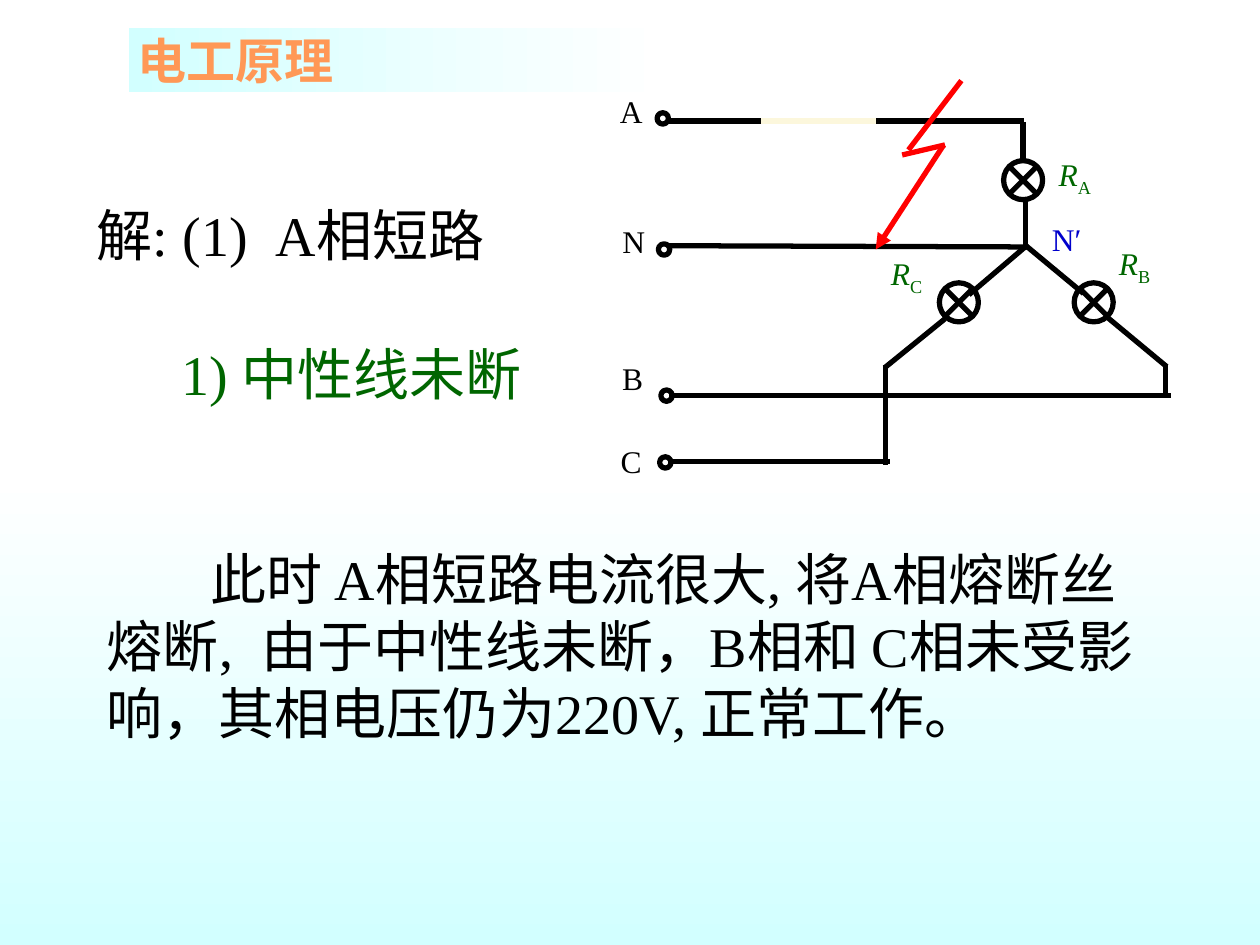
from pptx import Presentation, util as u
from pptx.dml.color import RGBColor
from pptx.enum import shapes, text
from pptx.oxml.ns import qn
from lxml import etree

COLORS = {"black": "000000", "green": "006600", "blue": "0000CC", "red": "FF0000",
          "orange": "FF9856", "cream": "FCF7DC", "cyan": "D2FFFF", "white": "FFFFFF"}
FONT = "Times New Roman"
LINE_WIDTH = 3
TOP, MIDDLE = text.MSO_ANCHOR.TOP, text.MSO_ANCHOR.MIDDLE
LEFT, CENTER = text.PP_ALIGN.LEFT, text.PP_ALIGN.CENTER

TITLE = "电工原理"
# text, box, colour, alignment, anchor, first-line indent
STATEMENTS = [
    ("解: (1)  A相短路", (0.67, 1.54, 4.42, 0.63), "black", LEFT, MIDDLE, 0),
    ("1) 中性线未断", (0.98, 2.65, 3.62, 0.63), "green", CENTER, MIDDLE, 0),
    ("此时 A相短路电流很大, 将A相熔断丝熔断,  由于中性线未断，B相和 C相未受影响，"
     "其相电压仍为220V, 正常工作。", (0.75, 4.27, 8.43, 1.7), "black", LEFT, TOP, 0.82),
]
# name, subscript, left, top, width, colour, anchor
LABELS = [
    ("A", "", 4.79, 0.68, 0.44, "black", TOP),
    ("N", "", 4.81, 1.71, 0.44, "black", TOP),
    ("B", "", 4.81, 2.8, 0.42, "black", TOP),
    ("C", "", 4.79, 3.41, 0.44, "black", MIDDLE),
    ("N′", "", 8.19, 1.65, 0.55, "blue", MIDDLE),
    ("R", "A", 8.24, 1.15, 0.58, "green", MIDDLE),
    ("R", "B", 8.72, 1.86, 0.57, "green", MIDDLE),
    ("R", "C", 6.88, 1.94, 0.63, "green", MIDDLE),
]
# centres
TERMINALS = [(5.26, 0.94), (5.27, 1.98), (5.29, 3.14), (5.28, 3.67)]
LAMPS = [(8.12, 1.43), (7.61, 2.4), (8.68, 2.4)]
# x1, y1, x2, y2
WIRES = [
    (5.3, 0.96, 8.13, 0.96), (8.12, 0.97, 8.12, 1.29), (8.14, 1.57, 8.14, 1.97),
    (5.31, 1.95, 8.16, 1.96),
    (8.13, 1.94, 8.6, 2.33), (8.79, 2.52, 9.26, 2.91),
    (9.25, 2.89, 9.25, 3.14), (9.29, 3.14, 5.31, 3.14),
    (8.16, 1.94, 7.69, 2.34), (7.5, 2.53, 7.02, 2.92),
    (7.03, 2.9, 7.03, 3.69), (5.31, 3.66, 7.06, 3.66),
]
FUSE = (6.04, 0.96, 6.95, 0.96)
BOLT = [(7.63, 0.64, 7.21, 1.19), (7.16, 1.23, 7.5, 1.15), (7.49, 1.15, 6.95, 1.98)]


def rgb(name):
    return RGBColor.from_string(COLORS[name])


def inches(values):
    return [u.Inches(v) for v in values]


def fade(fill, angle, stops):
    fill.gradient()
    fill.gradient_angle = angle
    for stop, (position, color) in zip(fill.gradient_stops, stops):
        stop.position = position
        stop.color.rgb = rgb(color)


def set_frame(sp, anchor, wrap):
    tf = sp.text_frame
    for name, value in {"word_wrap": wrap, "vertical_anchor": anchor,
                        "auto_size": text.MSO_AUTO_SIZE.NONE}.items():
        setattr(tf, name, value)
    return tf.paragraphs[0]


def add_run(p, content, size, color, **style):
    r = p.add_run()
    r.text = content
    for name, value in {"name": FONT, "size": u.Pt(size), **style}.items():
        setattr(r.font, name, value)
    r.font.color.rgb = rgb(color)
    return r


def add_line(parent, points, color="black", arrow=False):
    line = parent.add_connector(shapes.MSO_CONNECTOR.STRAIGHT, *inches(points))
    line.line.color.rgb = rgb(color)
    line.line.width = u.Pt(LINE_WIDTH)
    sp_pr = line._element.spPr
    if arrow:
        etree.SubElement(sp_pr.find(qn("a:ln")), qn("a:tailEnd"), type="triangle")
    etree.SubElement(sp_pr, qn("a:effectLst"))


def add_ring(parent, x, y, diameter):
    box = inches((x - diameter / 2, y - diameter / 2, diameter, diameter))
    ring = parent.add_shape(shapes.MSO_SHAPE.OVAL, *box)
    ring.shadow.inherit = False
    ring.fill.background()
    ring.line.color.rgb = rgb("black")
    ring.line.width = u.Pt(LINE_WIDTH)


def add_lamp(parent, x, y, arm=0.1):
    add_ring(parent, x, y, 0.31)
    for rise in (arm, -arm):
        add_line(parent, (x - arm, y - rise, x + arm, y + rise))


def add_header(slide):
    band = slide.shapes.add_shape(shapes.MSO_SHAPE.RECTANGLE,
                                  *inches((1.02, 0.22, 8.55, 0.51)))
    band.shadow.inherit = False
    band.line.fill.background()
    fade(band.fill, 0, [(0, "cyan"), (0.5, "white")])
    title = slide.shapes.title
    title._element.addprevious(band._element)
    title.left, title.top, title.width, title.height = inches((0.98, 0.19, 1.78, 0.57))
    p = set_frame(title, TOP, False)
    p.alignment = CENTER
    add_run(p, TITLE, 28, "orange", bold=True)


def add_statements(slide):
    for content, box, color, align, anchor, indent in STATEMENTS:
        p = set_frame(slide.shapes.add_textbox(*inches(box)), anchor, True)
        p.alignment = align
        if indent:
            p._p.get_or_add_pPr().set("indent", str(u.Inches(indent)))
        add_run(p, content, 32, color)


def add_circuit(slide):
    circuit = slide.shapes.add_group_shape().shapes
    for wire in WIRES:
        add_line(circuit, wire)
    for x, y in TERMINALS:
        add_ring(circuit, x, y, 0.09)
    for x, y in LAMPS:
        add_lamp(circuit, x, y)
    for name, sub, left, top, width, color, anchor in LABELS:
        box = circuit.add_textbox(*inches((left, top, width, 0.5)))
        p = set_frame(box, anchor, False)
        p.alignment = CENTER
        add_run(p, name, 18, color, italic=bool(sub))
        if sub:
            r = add_run(p, sub, 18, color)
            r.font._element.set("baseline", "-25000")

    bolt = slide.shapes.add_group_shape().shapes
    for stroke in BOLT:
        add_line(bolt, stroke, "red", arrow=stroke is BOLT[-1])
    add_line(slide.shapes, FUSE, "cream")


def main():
    prs = Presentation()
    prs.slide_width, prs.slide_height = inches((10, 7.5))
    slide = prs.slides.add_slide(prs.slide_layouts.get_by_name("Title Only"))
    fade(slide.background.fill, 270, [(0.5, "white"), (1, "cyan")])
    add_header(slide)
    add_statements(slide)
    add_circuit(slide)
    prs.save("out.pptx")


if __name__ == "__main__":
    main()
